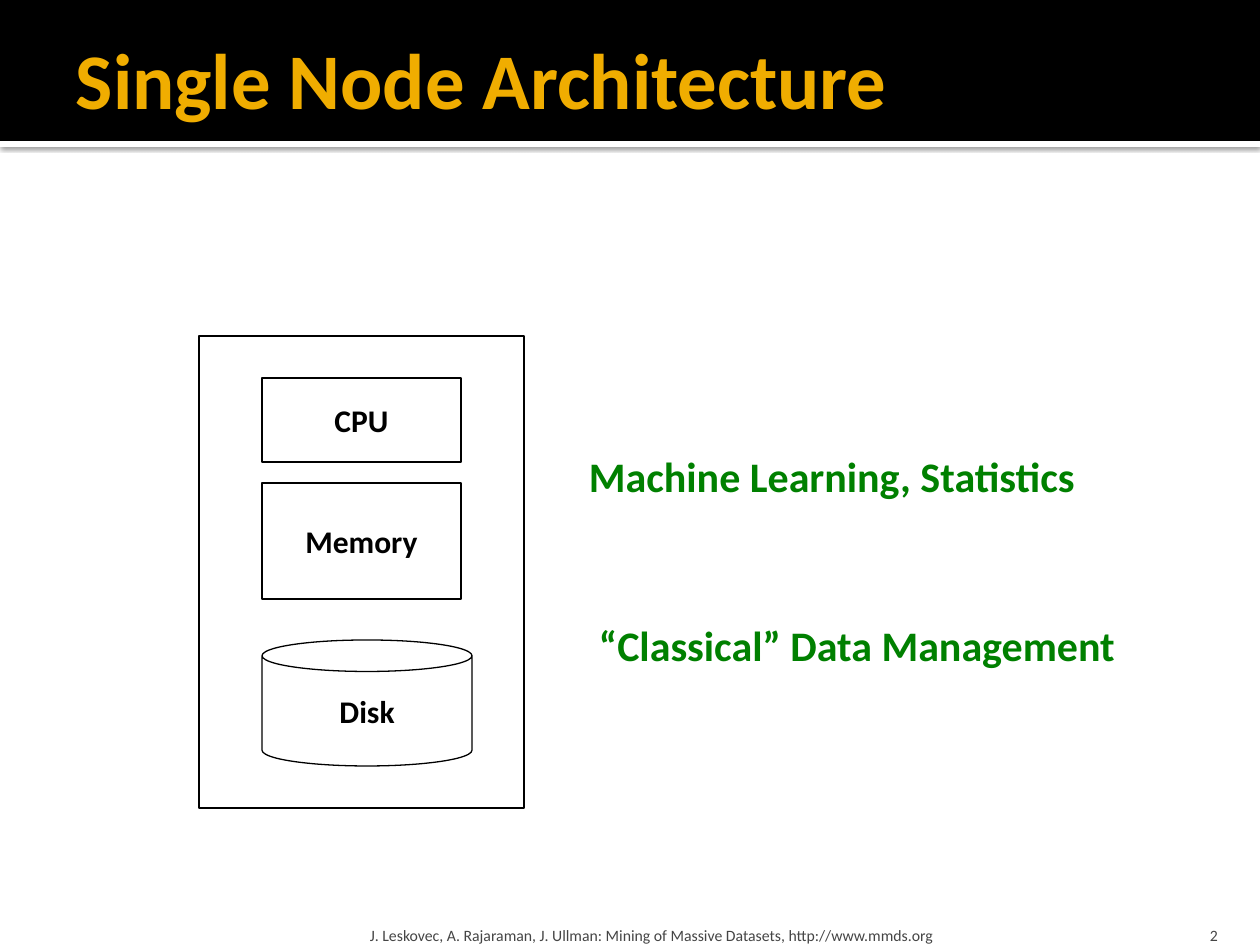
from lxml import etree
from pptx import Presentation
from pptx.dml.color import RGBColor as RGB
from pptx.enum.shapes import MSO_SHAPE as Form
from pptx.enum.text import MSO_ANCHOR as Anchor, MSO_AUTO_SIZE as Fit, PP_ALIGN as Align
from pptx.oxml.ns import qn
from pptx.util import Emu, Pt

BLACK, WHITE = RGB(0, 0, 0), RGB(255, 255, 255)
GOLD, GREEN, GREY = RGB(0xF0, 0xAD, 0), RGB(0, 0x80, 0), RGB(0x45, 0x45, 0x45)

# Content: bars are (top, height, colour)
BARS = [(141, 6, WHITE), (0, 141, BLACK)]
TITLE = "Single Node Architecture"
NODE = (199, 336, 325, 472)
# Node parts, stacked: (text, form, width, height, gap above)
PARTS = [
    ("CPU", Form.RECTANGLE, 199, 84, 42),
    ("Memory", Form.RECTANGLE, 199, 116, 21),
    ("Disk", Form.CAN, 210, 126, 41),
]
PAD = 63
LABELS = [
    ("Machine Learning, Statistics", (576, 445, 544, 63)),
    ("“Classical” Data Management", (586, 614, 571, 63)),
]
CREDIT = "J. Leskovec, A. Rajaraman, J. Ullman: Mining of Massive Datasets, http://www.mmds.org"
NUMBER = "2"

# Text formats: font, frame (margins in px) and alignment
HEAD = dict(font=dict(size=Pt(45), bold=True), color=GOLD, margin=(13, 6, 6, 6),
            frame=dict(word_wrap=True, vertical_anchor=Anchor.MIDDLE))
PART = dict(font=dict(size=Pt(18), bold=True), color=BLACK, margin=(13, 6, 13, 6), align=Align.CENTER,
            frame=dict(word_wrap=False, vertical_anchor=Anchor.MIDDLE))
LABEL = dict(font=dict(size=Pt(24), bold=True), color=GREEN, margin=(13, 6, 13, 6),
             frame=dict(word_wrap=False, auto_size=Fit.SHAPE_TO_FIT_TEXT))
FOOT = dict(font=dict(size=Pt(9)), color=GREY, margin=(6, 6, 6, 0),
            frame=dict(word_wrap=True, vertical_anchor=Anchor.BOTTOM))
PAGE = dict(FOOT, margin=(13, 6, 13, 0), align=Align.RIGHT)

SCALE = 914400 / 126


def px(*vals):
    return [Emu(round(v * SCALE)) for v in vals]


def write(shape, text, style):
    frame = shape.text_frame
    for name, val in style["frame"].items():
        setattr(frame, name, val)
    for side, val in zip(("left", "top", "right", "bottom"), px(*style["margin"])):
        setattr(frame, "margin_" + side, val)
    para = frame.paragraphs[0]
    para.alignment = style.get("align", Align.LEFT)
    run = para.add_run()
    run.text = text
    run.font.name = "Calibri"
    run.font.color.rgb = style["color"]
    for name, val in style["font"].items():
        setattr(run.font, name, val)


def draw(form, box, fill=None, line=None):
    shape = slide.shapes.add_shape(form, *px(*box))
    shape.shadow.inherit = False
    if fill is None:
        shape.fill.background()
    else:
        shape.fill.solid()
        shape.fill.fore_color.rgb = fill
    if line is None:
        shape.line.fill.background()
    else:
        shape.line.color.rgb = line
        shape.line.width = Pt(0.75)
    return shape


def note(box, text, style):
    write(slide.shapes.add_textbox(*px(*box)), text, style)


def shade(shape):
    effects = shape.element.spPr.find(qn("a:effectLst"))
    shadow = etree.SubElement(effects, qn("a:outerShdw"), blurRad=str(Pt(2.5)), dist=str(Pt(0.8)),
                              dir="5400000", algn="tl", rotWithShape="0")
    color = etree.SubElement(shadow, qn("a:srgbClr"), val="000000")
    etree.SubElement(color, qn("a:alpha"), val="60000")


deck = Presentation()
deck.slide_width, deck.slide_height = px(1260, 945)
slide = deck.slides.add_slide(deck.slide_layouts[6])

# Title band above a shaded strip
strip, band = [draw(Form.RECTANGLE, (0, top, 1260, high), fill) for top, high, fill in BARS]
shade(strip)
note((63, 10, 1134, 136), TITLE, HEAD)

# Node and its parts
left, top, wide, high = NODE
draw(Form.RECTANGLE, NODE, line=BLACK)
for text, form, wide, high, gap in PARTS:
    top += gap
    write(draw(form, (left + PAD, top, wide, high), line=BLACK), text, PART)
    top += high

# Labels beside the node
for text, box in LABELS:
    note(box, text, LABEL)

# Footer
note((364, 907, 759, 38), CREDIT, FOOT)
note((1130, 907, 101, 38), NUMBER, PAGE)

deck.save("out.pptx")
